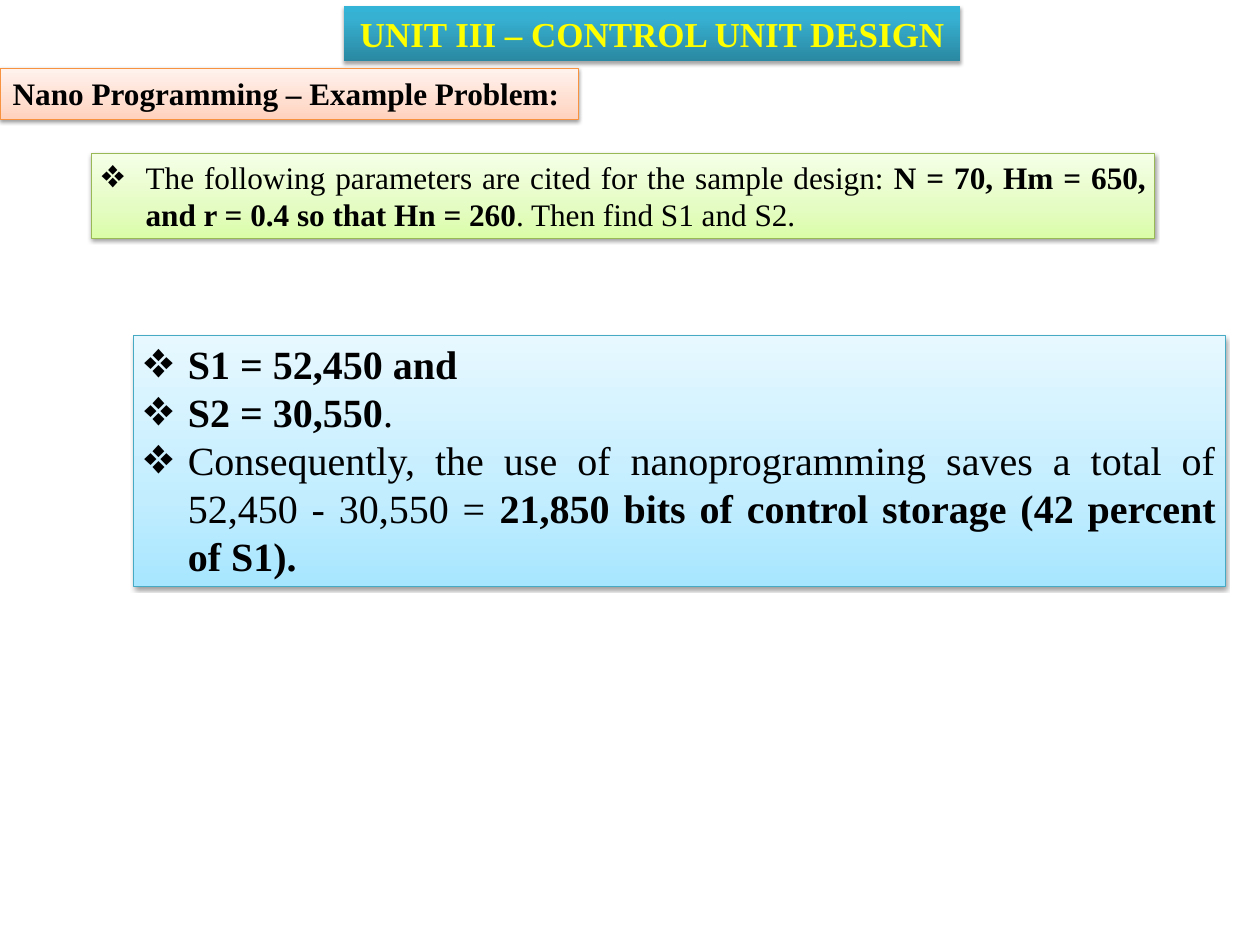
import pptx
import pptx.util
import pptx.dml.color
import pptx.enum.shapes
import pptx.enum.text
import pptx.oxml
import pptx.oxml.ns

Cm, Pt = pptx.util.Cm, pptx.util.Pt
ALIGN = pptx.enum.text.PP_ALIGN
FONT = "Times New Roman"
NS = pptx.oxml.ns.nsdecls("a")


def color(code):
    return pptx.dml.color.RGBColor.from_string(code)


def node(xml):
    """Parse one drawing element, given without its namespace."""
    return pptx.oxml.parse_xml(xml.replace(">", f" {NS}>", 1))


def panel(slide, box, stops, line=None, glow=(38, 1.6)):
    """Rectangle with an upward gradient and a soft shadow below."""
    shape = slide.shapes.add_shape(
        pptx.enum.shapes.MSO_SHAPE.RECTANGLE, *[Cm(size) for size in box])

    # Gradient fill
    shape.fill.gradient()
    shape.fill.gradient_angle = 90
    grad = shape.fill._fill._gradFill.find(pptx.oxml.ns.qn("a:gsLst"))
    for old in list(grad):
        grad.remove(old)
    for spot, code in stops:
        grad.append(node(f'<a:gs><a:srgbClr val="{code}"/></a:gs>'))
        grad[-1].set("pos", str(spot * 1000))

    # Outline
    if line:
        shape.line.color.rgb = color(line)
        shape.line.width = Pt(0.75)
    else:
        shape.line.fill.background()

    # Shadow
    alpha, dist = glow
    shape.shadow.inherit = False
    shade = node('<a:outerShdw><a:srgbClr val="000000">'
                 f'<a:alpha val="{alpha * 1000}"/></a:srgbClr></a:outerShdw>')
    for key, value in (("blurRad", Pt(3.1)), ("dist", Pt(dist)),
                       ("dir", 5400000), ("rotWithShape", 0)):
        shade.set(key, str(int(value)))
    shape._element.spPr.find(pptx.oxml.ns.qn("a:effectLst")).append(shade)

    shape.text_frame.vertical_anchor = pptx.enum.text.MSO_ANCHOR.TOP
    return shape.text_frame


def write(para, runs, size, code="000000"):
    """Add (text, bold) runs to a paragraph."""
    for text, bold in runs:
        run = para.add_run()
        run.text = text
        run.font.name = FONT
        run.font.size = Pt(size)
        run.font.bold = bold
        run.font.color.rgb = color(code)


def head(slide, box, text, size, code, align, stops, **look):
    """One-line heading panel."""
    frame = panel(slide, box, stops, **look)
    frame.word_wrap = False
    frame.margin_left = frame.margin_right = Cm(0.36)
    frame.margin_top = frame.margin_bottom = Cm(0.18)
    para = frame.paragraphs[0]
    para.alignment = align
    write(para, [(text, True)], size, code)


def points(slide, box, items, size, stops, line):
    """Panel of justified bullet points."""
    frame = panel(slide, box, stops, line)
    frame.word_wrap = True
    for num, runs in enumerate(items):
        para = frame.add_paragraph() if num else frame.paragraphs[0]
        para.alignment = ALIGN.JUSTIFY
        props = para._p.get_or_add_pPr()
        props.set("marL", str(Cm(1.27)))
        props.set("indent", str(-Cm(1.27)))
        props.append(node(f'<a:buFont typeface="{FONT}"></a:buFont>'))
        props.append(node('<a:buChar char="❖"></a:buChar>'))
        write(para, runs, size)


def main():
    deck = pptx.Presentation()
    deck.slide_width, deck.slide_height = Cm(35.56), Cm(26.67)
    slide = deck.slides.add_slide(deck.slide_layouts[6])

    # Topic
    head(slide, (0, 1.93, 16.33, 1.43), "Nano Programming – Example Problem:",
         25, "000000", ALIGN.LEFT,
         [(0, "FFD2BD"), (35, "FFDED0"), (100, "FFF2ED")], line="F69240")

    # Unit title
    head(slide, (9.7, 0.18, 17.4, 1.55), "UNIT III – CONTROL UNIT DESIGN",
         28, "FFFF00", ALIGN.CENTER,
         [(0, "2A88A2"), (80, "37B1D2"), (100, "34B4D6")], glow=(35, 1.8))

    # Problem
    points(slide, (2.59, 4.34, 30, 2.39), [
        [("The following parameters are cited for the sample design: ", False),
         ("N = 70, Hm = 650, and r = 0.4 so that Hn = 260", True),
         (". Then find S1 and S2.", False)],
    ], 25, [(0, "DAFDA7"), (35, "E4FCC2"), (100, "F5FFE7")], "98B955")

    # Answer
    points(slide, (3.78, 9.47, 30.81, 7.09), [
        [("S1 = 52,450 and", True)],
        [("S2 = 30,550", True), (".", False)],
        [("Consequently, the use of nanoprogramming saves a total of "
          "52,450 - 30,550 = ", False),
         ("21,850 bits of control storage (42 percent of S1).", True)],
    ], 32, [(0, "A7E6FF"), (35, "C1EDFF"), (100, "E7F8FF")], "46AAC5")

    deck.save("out.pptx")


if __name__ == "__main__":
    main()
